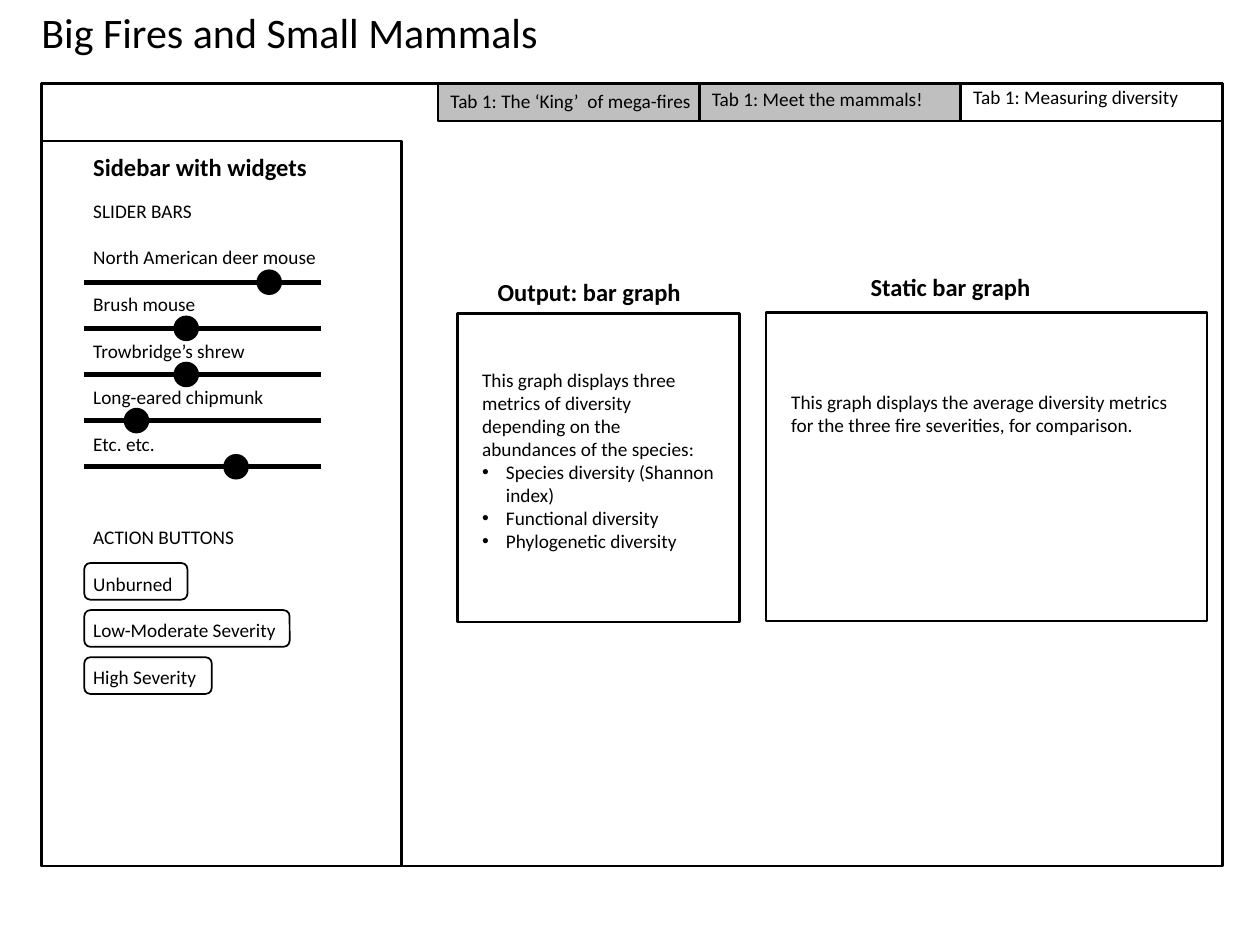
from dataclasses import dataclass
from lxml.etree import SubElement
from pptx import Presentation
from pptx.dml.color import RGBColor
from pptx.enum.shapes import MSO_CONNECTOR as Connector, MSO_SHAPE as Shape
from pptx.enum.text import MSO_ANCHOR as Anchor, MSO_AUTO_SIZE as AutoSize, PP_ALIGN as Align
from pptx.oxml.ns import qn
from pptx.util import Cm, Pt


@dataclass(frozen=True)
class Theme:
    font: str = "Calibri"
    ink: str = "000000"
    paper: str = "FFFFFF"
    inactive: str = "BFBFBF"
    title: float = 24
    heading: float = 14
    body: float = 11
    frame_line: float = 1.5
    button_line: float = 1
    track_line: float = 3
    row_gap: float = 13.4


theme = Theme()

title = "Big Fires and Small Mammals"
tabs = [
    ("Tab 1: The ‘King’  of mega-fires", theme.inactive, 1.68),
    ("Tab 1: Meet the mammals!", theme.inactive, 1.63),
    ("Tab 1: Measuring diversity", theme.paper, 1.6),
]
sidebar_heading = "Sidebar with widgets"
slider_heading = "SLIDER BARS"
sliders = [
    ("North American deer mouse", 0.78),
    ("Brush mouse", 0.43),
    ("Trowbridge’s shrew", 0.43),
    ("Long-eared chipmunk", 0.22),
    ("Etc. etc.", 0.64),
]
button_heading = "ACTION BUTTONS"
buttons = [("Unburned", 2.08), ("Low-Moderate Severity", 4.14), ("High Severity", 2.57)]
graphs = [
    {
        "box": (9.22, 6.32, 5.69, 6.22),
        "heading": "Output: bar graph",
        "heading_box": (9.78, 5.46, 4.24, 0.86),
        "text": "This graph displays three metrics of diversity depending on the "
                "abundances of the species:",
        "bullets": ["Species diversity (Shannon index)", "Functional diversity",
                    "Phylogenetic diversity"],
        "text_box": (9.47, 7.29, 5.18, 4.01),
    },
    {
        "box": (15.44, 6.3, 8.89, 6.22),
        "heading": "Static bar graph",
        "heading_box": (17.3, 5.36, 3.89, 0.86),
        "text": "This graph displays the average diversity metrics for the three fire "
                "severities, for comparison.",
        "bullets": [],
        "text_box": (15.7, 7.75, 8.41, 1.19),
    },
]

frame_left, frame_top, frame_width, frame_height = 0.84, 1.68, 23.8, 15.78
tab_width, tab_height = 5.27, 0.76
sidebar_top, sidebar_width = 2.84, 7.26
label_left, widget_left = 1.63, 1.7
track_top, track_pitch, track_length, knob = 5.69, 0.93, 4.78, 0.48
button_top, button_pitch, button_height = 11.35, 0.95, 0.74

deck = Presentation()
deck.slide_width, deck.slide_height = Cm(25.4), Cm(19.05)
slide = deck.slides.add_slide(deck.slide_layouts[5])


def lengths(box):
    return [Cm(value) for value in box]


def style(paragraph, size, bold=False):
    paragraph.alignment = Align.LEFT
    for run in paragraph.runs:
        run.font.name, run.font.size, run.font.bold = theme.font, Pt(size), bold
        run.font.color.rgb = RGBColor.from_string(theme.ink)


def write(box, lines, size=theme.body, bold=False, wrap=True):
    frame = slide.shapes.add_textbox(*lengths(box)).text_frame
    frame.word_wrap = wrap
    frame.text = "\n".join(lines)
    for paragraph in frame.paragraphs:
        style(paragraph, size, bold)
    return frame.paragraphs


def draw(kind, box, line, fill=None):
    part = slide.shapes.add_shape(kind, *lengths(box))
    part.shadow.inherit = False
    part.line.color.rgb = RGBColor.from_string(theme.ink)
    part.line.width = Pt(line)
    if fill:
        part.fill.solid()
        part.fill.fore_color.rgb = RGBColor.from_string(fill)
    else:
        part.fill.background()


def draw_track(left, top, length):
    track = slide.shapes.add_connector(
        Connector.STRAIGHT, *lengths((left, top, left + length, top)))
    track.line.color.rgb = RGBColor.from_string(theme.ink)
    track.line.width = Pt(theme.track_line)
    SubElement(track.element.spPr, qn("a:effectLst"))


def add_bullet(paragraph):
    properties = paragraph._p.get_or_add_pPr()
    properties.set("marL", str(Cm(0.48)))
    properties.set("indent", str(-Cm(0.48)))
    SubElement(properties, qn("a:buFont"), typeface="Arial")
    SubElement(properties, qn("a:buChar"), char="•")


heading = slide.shapes.title
heading.left, heading.top, heading.width, heading.height = lengths((0.58, 0, 12.62, 1.27))
heading.text_frame.text = title
heading.text_frame.vertical_anchor = Anchor.TOP
heading.text_frame.auto_size = AutoSize.NONE
style(heading.text_frame.paragraphs[0], theme.title)

tabs_left = frame_left + frame_width - len(tabs) * tab_width
for index, (label, fill, text_top) in enumerate(tabs):
    left = tabs_left + index * tab_width
    draw(Shape.RECTANGLE, (left, frame_top, tab_width, tab_height), theme.frame_line, fill)
    write((left, text_top, 5.69, 0.73), [label])

draw(Shape.RECTANGLE, (frame_left, frame_top, frame_width, frame_height), theme.frame_line)
draw(Shape.RECTANGLE, (frame_left, sidebar_top, sidebar_width,
                       frame_top + frame_height - sidebar_top), theme.frame_line)
write((label_left, 2.95, 4.85, 0.86), [sidebar_heading], theme.heading, True, False)

labels = [slider_heading, *(name for name, _ in sliders),
          button_heading, *(name for name, _ in buttons)]
rows = write((label_left, 3.89, 5.69, 10.59), labels)
for row in rows[1:]:
    row.space_before = Pt(theme.row_gap * (3 if row.text == button_heading else 1))

for index, (_, position) in enumerate(sliders):
    top = track_top + index * track_pitch
    draw_track(widget_left, top, track_length)
    draw(Shape.OVAL, (widget_left + position * track_length - knob / 2, top - knob / 2,
                      knob, knob), theme.button_line, theme.ink)

for index, (_, width) in enumerate(buttons):
    draw(Shape.ROUNDED_RECTANGLE, (widget_left, button_top + index * button_pitch,
                                   width, button_height), theme.button_line)

for graph in graphs:
    draw(Shape.RECTANGLE, graph["box"], theme.frame_line)
    write(graph["heading_box"], [graph["heading"]], theme.heading, True, False)
    for paragraph in write(graph["text_box"], [graph["text"], *graph["bullets"]])[1:]:
        add_bullet(paragraph)

deck.save("out.pptx")
